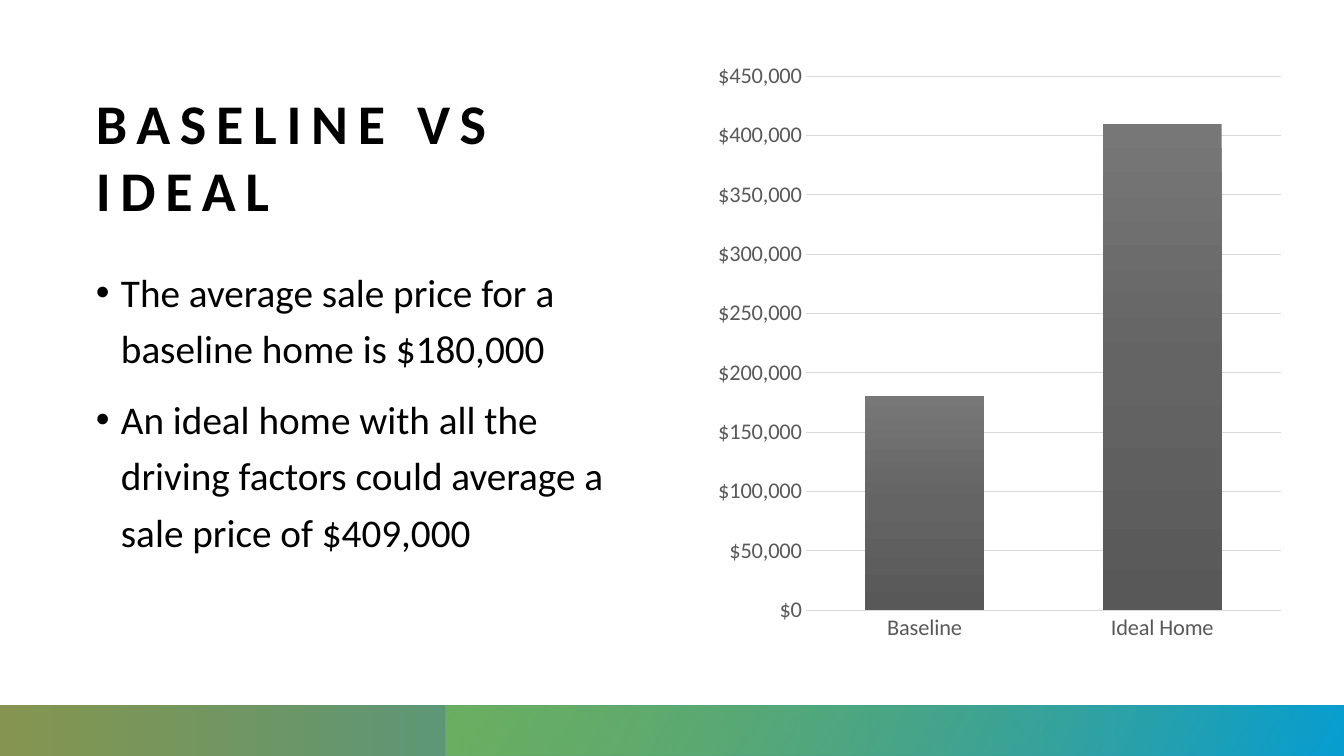
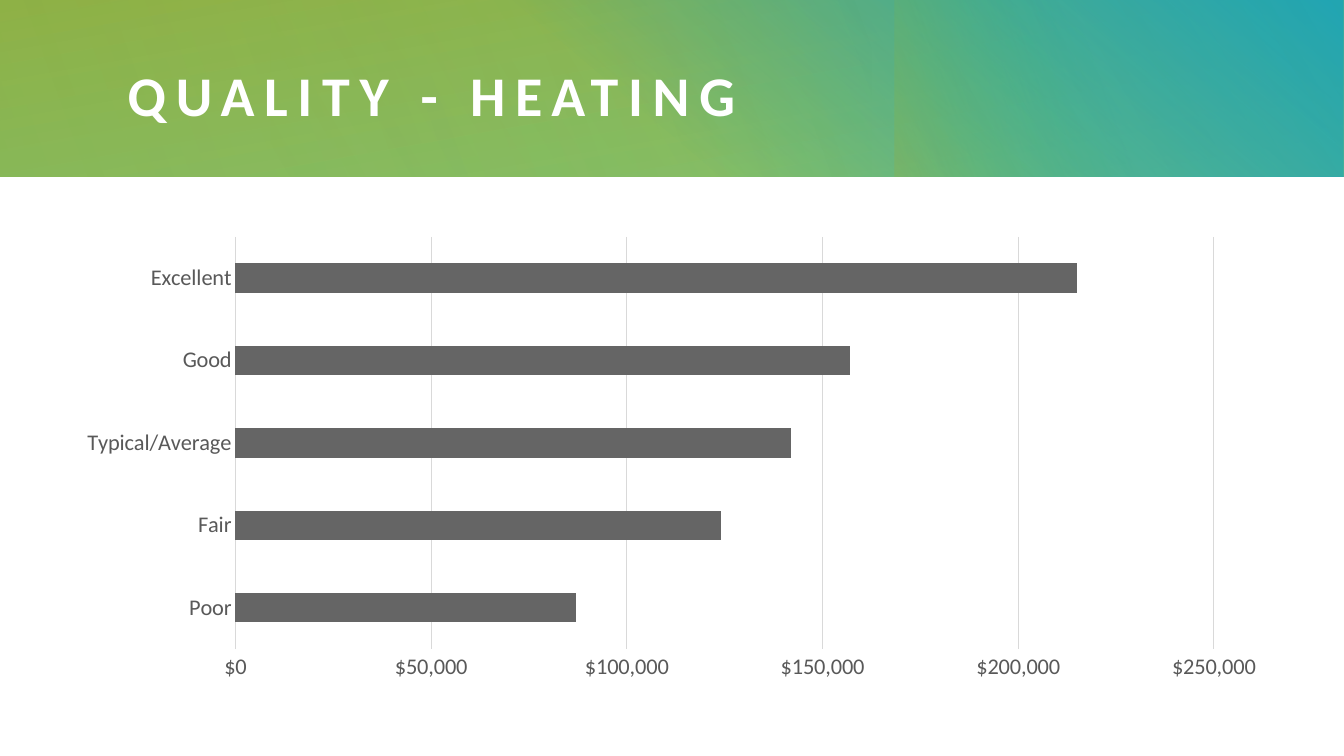
from dataclasses import dataclass

from lxml.etree import SubElement
from pptx import Presentation
from pptx.chart.data import CategoryChartData
from pptx.dml.color import RGBColor
from pptx.enum.chart import XL_CHART_TYPE as ChartType, XL_TICK_MARK as TickMark
from pptx.enum.shapes import MSO_SHAPE as Preset
from pptx.enum.text import MSO_ANCHOR as Anchor
from pptx.oxml.ns import qn
from pptx.util import Inches, Pt

# The slide is a grid of 160 columns by 90 rows
COLUMNS, ROWS = 160, 90
SLIDE_WIDTH, SLIDE_HEIGHT = Inches(40 / 3), Inches(7.5)


@dataclass(frozen=True)
class Theme:
    font: str = "Calibri"
    text: str = "000000"
    inverse: str = "FFFFFF"
    blue: str = "009DD9"
    green: str = "71B959"
    lime: str = "96B042"
    olive: str = "708431"
    teal: str = "0EBC8C"
    bar: str = "656565"
    bar_fade: tuple = ((0, "777777", 100), (50, "646464", 100), (100, "585858", 100))
    label: str = "595959"
    grid: str = "D9D9D9"
    title_size: int = 40
    title_tracking: int = 7
    body_size: int = 28
    label_size: int = 16


THEME = Theme()


@dataclass(frozen=True)
class Box:
    left: float
    top: float
    width: float
    height: float

    def columns(self, start, count):
        """Full-height part of this box, measured in grid columns."""
        return Box(self.left + start, self.top, count, self.height)

    def place(self):
        return (int(self.left * SLIDE_WIDTH / COLUMNS),
                int(self.top * SLIDE_HEIGHT / ROWS),
                int(self.width * SLIDE_WIDTH / COLUMNS),
                int(self.height * SLIDE_HEIGHT / ROWS))


def rgb(color):
    return RGBColor.from_string(color)


def fill_gradient(fill, properties, stops, angle):
    """Stops are (position, colour, opacity) in percent; angle runs clockwise."""
    fill.gradient()
    fill.gradient_angle = -angle % 360
    stop_list = properties.find(qn("a:gradFill")).find(qn("a:gsLst"))
    for old_stop in list(stop_list):
        stop_list.remove(old_stop)
    for position, color, opacity in stops:
        stop = SubElement(stop_list, qn("a:gs"), pos=str(position * 1000))
        tint = SubElement(stop, qn("a:srgbClr"), val=color)
        if opacity < 100:
            SubElement(tint, qn("a:alpha"), val=str(opacity * 1000))


def add_band(slide, box, layers):
    """Stack gradient layers, each (first column, column count, angle, stops)."""
    for start, count, angle, stops in layers:
        layer = slide.shapes.add_shape(Preset.RECTANGLE, *box.columns(start, count).place())
        layer.shadow.inherit = False
        layer.line.fill.background()
        fill_gradient(layer.fill, layer.element.spPr, stops, angle)


def add_footer_band(slide, box):
    add_band(slide, box, (
        (0, 160, 180, ((0, THEME.blue, 100), (100, THEME.olive, 85))),
        (53, 107, 210, ((0, THEME.green, 5), (99, THEME.green, 72))),
    ))


def add_header_band(slide, box):
    add_band(slide, box, (
        (0, 160, 260, ((0, THEME.green, 83), (100, THEME.lime, 100))),
        (57.7, 102.3, 310, ((22, THEME.blue, 0), (99, THEME.blue, 100))),
        (106.5, 44.9, 160, ((45, THEME.teal, 0), (99, THEME.lime, 33))),
        (32.2, 127.8, 150, ((0, THEME.green, 30), (99, THEME.green, 0))),
        (0, 103.8, 340, ((0, THEME.green, 21), (99, THEME.green, 0))),
    ))


def style_font(font, size, color, bold=False):
    font.name, font.size, font.bold = THEME.font, Pt(size), bold
    font.color.rgb = rgb(color)


def add_text_frame(slide, box, anchor):
    frame = slide.shapes.add_textbox(*box.place()).text_frame
    frame.word_wrap = True
    frame.vertical_anchor = anchor
    frame.margin_left = frame.margin_right = frame.margin_top = frame.margin_bottom = 0
    return frame


def add_title(slide, box, wording, color, anchor):
    frame = add_text_frame(slide, box, anchor)
    frame.text = wording
    font = frame.paragraphs[0].runs[0].font
    style_font(font, THEME.title_size, color, bold=True)
    frame.paragraphs[0].runs[0].element.get_or_add_rPr().set(
        "spc", str(THEME.title_tracking * 100)) if hasattr(
        frame.paragraphs[0].runs[0], "element") else frame._txBody.find(
        ".//" + qn("a:rPr")).set("spc", str(THEME.title_tracking * 100))


def add_bullets(slide, box, points):
    frame = add_text_frame(slide, box, Anchor.TOP)
    frame.text = "\n".join(points)
    for point in frame.paragraphs:
        point.line_spacing, point.space_before = 1.2, Pt(10)
        style_font(point.runs[0].font, THEME.body_size, THEME.text)
        properties = point._p.get_or_add_pPr()
        properties.set("marL", str(Inches(0.25)))
        properties.set("indent", str(-Inches(0.25)))
        SubElement(properties, qn("a:buFont"), typeface="Arial")
        SubElement(properties, qn("a:buChar"), char="•")


def add_price_chart(slide, box, kind, prices, top_price, gap, overlap=0):
    data = CategoryChartData(number_format='"$"#,##0')
    data.categories = list(prices)
    data.add_series("Series 1", list(prices.values()))
    chart = slide.shapes.add_chart(kind, *box.place(), data).chart
    chart.has_title = chart.has_legend = False
    style_font(chart.font, THEME.label_size, THEME.label)

    # Bars
    plot = chart.plots[0]
    plot.vary_by_categories = False
    plot.gap_width, plot.overlap = gap, overlap
    bar_fill = plot.series[0].format.fill
    bar_fill.solid()
    bar_fill.fore_color.rgb = rgb(THEME.bar)

    # Axes
    for axis in (chart.category_axis, chart.value_axis):
        axis.major_tick_mark = axis.minor_tick_mark = TickMark.NONE
        style_font(axis.tick_labels.font, THEME.label_size, THEME.label)
    price_axis = chart.value_axis
    price_axis.minimum_scale, price_axis.maximum_scale = 0, top_price
    price_axis.major_unit = 50000
    price_axis.tick_labels.number_format = '"$"#,##0'
    price_axis.tick_labels.number_format_is_linked = False
    price_axis.has_major_gridlines = True
    price_axis.format.line.fill.background()
    for line in (chart.category_axis.format.line, price_axis.major_gridlines.format.line):
        line.color.rgb, line.width = rgb(THEME.grid), Pt(0.75)
    return chart


def build_comparison(slide, page):
    """Title and bullets on the left, column chart on the right."""
    add_title(slide, Box(11.4, 6.1, 64.4, 20.4), "BASELINE VS IDEAL", THEME.text, Anchor.BOTTOM)
    add_bullets(slide, Box(11.4, 30.8, 64.4, 47), (
        "The average sale price for a baseline home is $180,000",
        "An ideal home with all the driving factors could average a sale price of $409,000",
    ))
    add_footer_band(slide, Box(page.left, page.height - 6, page.width, 6))
    chart = add_price_chart(slide, Box(84.1, 6, 69.8, 71.8), ChartType.COLUMN_CLUSTERED,
                            {"Baseline": 180000, "Ideal Home": 410000},
                            top_price=450000, gap=100, overlap=-24)
    bars = chart.plots[0].series[0]
    fill_gradient(bars.format.fill, bars._element.get_or_add_spPr(), THEME.bar_fade, 90)


def build_quality(slide, page):
    """Header band with the title, bar chart below."""
    add_header_band(slide, Box(page.left, page.top, page.width, 21))
    add_title(slide, Box(15.2, 4.9, 136.2, 12.7), "QUALITY - HEATING", THEME.inverse, Anchor.MIDDLE)
    add_price_chart(slide, Box(7.5, 27.1, 144.9, 55), ChartType.BAR_CLUSTERED,
                    {"Poor": 87000, "Fair": 124000, "Typical/Average": 142000,
                     "Good": 157000, "Excellent": 215000},
                    top_price=250000, gap=182)


def main():
    deck = Presentation()
    deck.slide_width, deck.slide_height = SLIDE_WIDTH, SLIDE_HEIGHT
    blank = deck.slide_layouts[6]
    for build in (build_comparison, build_quality):
        build(deck.slides.add_slide(blank), Box(0, 0, COLUMNS, ROWS))
    deck.save("out.pptx")


if __name__ == "__main__":
    main()
